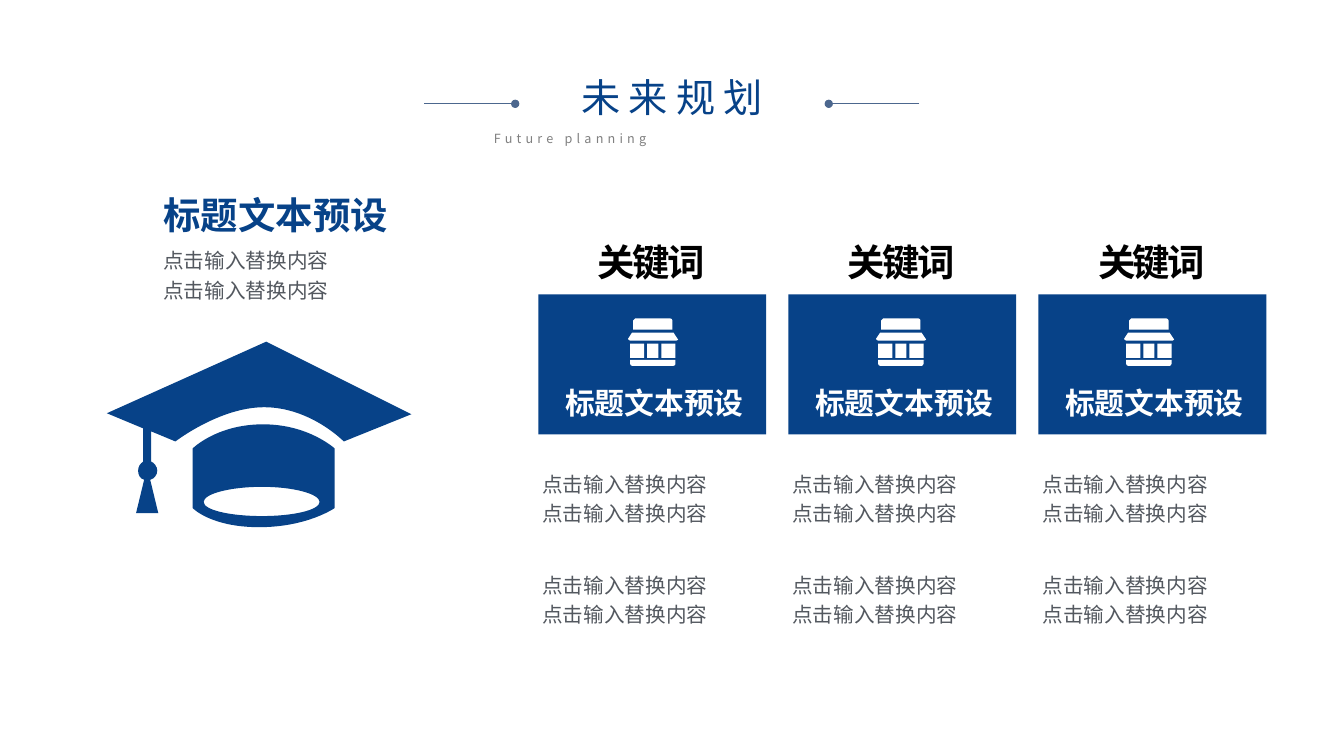
import pptx
import pptx.util
import pptx.dml.color
import pptx.enum.text
import pptx.enum.shapes
import pptx.oxml.ns
import lxml.etree

Inches = pptx.util.Inches
Pt = pptx.util.Pt
RGB = pptx.dml.color.RGBColor.from_string
align = pptx.enum.text.PP_ALIGN
anchor = pptx.enum.text.MSO_ANCHOR
fit = pptx.enum.text.MSO_AUTO_SIZE
kinds = pptx.enum.shapes
qn = pptx.oxml.ns.qn

FONT = "Noto Sans CJK SC"
HUES = {
    "blue": "074288",
    "line": "4C678E",
    "body": "53585F",
    "gray": "808080",
    "black": "000000",
    "white": "FFFFFF",
}

deck = pptx.Presentation()
deck.slide_width = Inches(13.33)
deck.slide_height = Inches(7.5)
slide = deck.slides.add_slide(deck.slide_layouts[6])
shapes = slide.shapes


def write(text, at, size, hue, bold=False, side=align.LEFT, mid=False,
          pad=(0.1, 0.05), lead=None, track=None, grow=False):
    box = shapes.add_textbox(*map(Inches, at))
    frame = box.text_frame
    frame.word_wrap = True
    frame.auto_size = fit.SHAPE_TO_FIT_TEXT if grow else fit.NONE
    frame.vertical_anchor = anchor.MIDDLE if mid else anchor.TOP
    frame.margin_left = frame.margin_right = Inches(pad[0])
    frame.margin_top = frame.margin_bottom = Inches(pad[1])
    for i, line in enumerate(text.split("\n")):
        para = frame.add_paragraph() if i else frame.paragraphs[0]
        para.alignment = side
        para.line_spacing = lead
        run = para.add_run()
        run.text = line
        run.font.name = FONT
        run.font.size = Pt(size)
        run.font.bold = bold
        run.font.color.rgb = RGB(HUES[hue])
        props = run.font._element
        lxml.etree.SubElement(props, qn("a:ea"), typeface=FONT)
        if track:
            props.set("spc", str(track * 100))


def draw(loops, left, top, hue):
    pen = None
    for loop in loops:
        dots = [(Inches(left + step[k]), Inches(top + step[k + 1]))
                for step in loop for k in range(0, len(step), 2)]
        if pen is None:
            pen = shapes.build_freeform(*dots[0], scale=1.0)
        else:
            pen.move_to(*dots[0])
        pen.add_line_segments(dots[1:], close=True)
    form = pen.convert_to_shape()
    form.shadow.inherit = False
    form.fill.solid()
    form.fill.fore_color.rgb = RGB(HUES[hue])
    form.line.fill.background()
    parts = iter(list(form._element.iter(qn("a:lnTo"))))
    for step in (step for loop in loops for step in loop[1:]):
        part = next(parts)
        if len(step) == 6:
            part.tag = qn("a:cubicBezTo")
            for rest in (next(parts), next(parts)):
                part.append(rest[0])
                rest.getparent().remove(rest)


write("Future planning", (4.8, 1.25, 3.74, 0.25), 9, "gray",
      side=align.JUSTIFY, track=3, grow=True)
write("未来规划", (5.16, 0.68, 3.01, 0.57), 28, "blue",
      side=align.CENTER, track=6, grow=True)

for start, end in ((4.21, 5.11), (9.12, 8.22)):
    rule = shapes.add_connector(kinds.MSO_CONNECTOR.STRAIGHT, Inches(start),
                                Inches(1.03), Inches(end), Inches(1.03))
    rule.line.color.rgb = RGB(HUES["line"])
    rule.line.width = Pt(0.5)
    lxml.etree.SubElement(rule.line._get_or_add_ln(), qn("a:tailEnd"), type="oval")
    lxml.etree.SubElement(rule._element.spPr, qn("a:effectLst"))

body = "点击输入替换内容\n点击输入替换内容"
head = "标题文本预设"
write(body, (1.62, 2.41, 2.86, 0.87), 14.7, "body", pad=(0, 0), lead=1.2)
write(head, (1.62, 1.91, 2.86, 0.34), 26.7, "blue", bold=True, pad=(0, 0))

panes = [[(x, 0.25), (x + w, 0.25), (x + w, 0.39), (x, 0.39)]
         for x, w in ((0.02, 0.14), (0.19, 0.11), (0.33, 0.14))]
store = panes + [
    [(0.02, 0.41), (0.47, 0.41), (0.47, 0.45), (0.47, 0.46, 0.46, 0.47, 0.45, 0.47),
     (0.04, 0.47), (0.03, 0.47, 0.02, 0.46, 0.02, 0.45)],
    [(0.04, 0.14), (0.45, 0.14), (0.49, 0.2), (0.5, 0.2, 0.5, 0.22, 0.48, 0.22),
     (0.02, 0.22), (0, 0.22, 0, 0.2, 0, 0.2)],
    [(0.07, 0), (0.42, 0), (0.43, 0, 0.44, 0.01, 0.44, 0.02), (0.44, 0.11),
     (0.05, 0.11), (0.05, 0.02), (0.05, 0.01, 0.06, 0, 0.07, 0)],
]

for col in range(3):
    x = 5.34 + col * 2.48
    card = shapes.add_shape(kinds.MSO_SHAPE.RECTANGLE, Inches(x), Inches(2.92),
                            Inches(2.26), Inches(1.39))
    card.shadow.inherit = False
    card.fill.solid()
    card.fill.fore_color.rgb = RGB(HUES["blue"])
    card.line.fill.background()
    write("关键词", (x, 2.37, 2.24, 0.45), 26.7, "black", bold=True,
          side=align.CENTER, mid=True, pad=(0.13, 0.07), track=-2)
    write(head, (x + 0.06, 3.79, 2.18, 0.4), 21.3, "white", bold=True,
          side=align.CENTER, mid=True)
    for y in (4.58, 5.58):
        write(body, (x - 0.06, y, 2.36, 0.69), 14.7, "body", mid=True,
              lead=1.2, grow=True)
    draw(store, 6.23 + col * 2.46, 3.16, "white")

cap = [
    [(2.35, 0.99), (2.35, 0.99, 2.02, 0.65, 1.56, 0.65),
     (1.12, 0.65, 0.68, 0.99, 0.68, 0.99), (0.44, 0.89), (0.44, 1.19),
     (0.47, 1.2, 0.5, 1.24, 0.5, 1.28), (0.5, 1.32, 0.47, 1.36, 0.43, 1.37),
     (0.51, 1.7), (0.29, 1.7), (0.37, 1.37),
     (0.33, 1.36, 0.31, 1.32, 0.31, 1.28), (0.31, 1.24, 0.33, 1.21, 0.36, 1.19),
     (0.36, 0.86), (0, 0.71), (1.58, 0), (3.02, 0.72)],
    [(1.55, 0.82), (2, 0.82, 2.26, 1.06, 2.26, 1.06), (2.26, 1.65),
     (2.26, 1.65, 1.99, 1.84, 1.51, 1.84), (1.03, 1.84, 0.85, 1.65, 0.85, 1.65),
     (0.85, 1.06), (0.85, 1.06, 1.09, 0.82, 1.55, 0.82)],
    [(1.54, 1.73), (1.85, 1.73, 2.11, 1.67, 2.11, 1.59),
     (2.11, 1.51, 1.85, 1.44, 1.54, 1.44), (1.22, 1.44, 0.96, 1.51, 0.96, 1.59),
     (0.96, 1.67, 1.22, 1.73, 1.54, 1.73)],
]
draw(cap, 1.06, 3.39, "blue")

deck.save("out.pptx")
